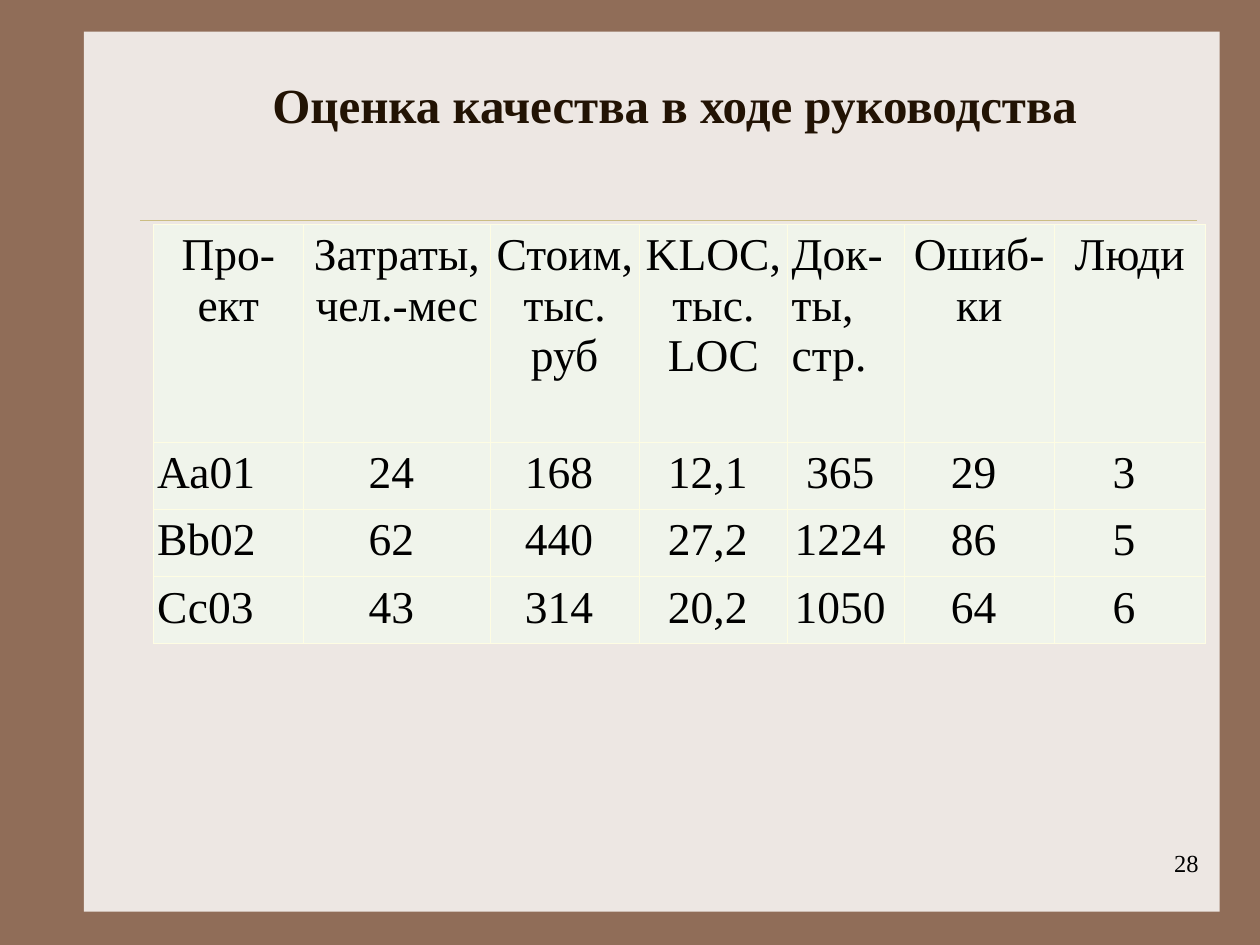
from lxml import etree
from pptx import Presentation
from pptx.dml.color import RGBColor
from pptx.enum import shapes, text
from pptx.oxml import ns
from pptx.util import Pt

FONT = "Times New Roman"
BLACK = "000000"
TITLE = "Оценка качества в ходе руководства"
PAGE_NUMBER = "28"
HEADERS = ["Про-ект", "Затраты, чел.-мес", "Стоим, тыс. руб", "KLOC, тыс. LOC",
           "Док- ты, стр.", "Ошиб-ки", "Люди"]
PROJECTS = [
    ["Аа01", "24 ", "168 ", "12,1 ", "365 ", "29 ", "3 "],
    ["Bb02 ", "62 ", "440 ", "27,2 ", "1224 ", "86 ", "5 "],
    ["Сс03", "43 ", "314 ", "20,2 ", "1050 ", "64 ", "6 "],
]
COLUMN_WIDTHS = [86, 106.75, 85, 85, 66.5, 86, 86]
HEADER_HEIGHT, ROW_HEIGHT = 124.5, 31
DOCUMENTS_COLUMN = 4
ALIGN = text.PP_ALIGN


def rgb(value):
    return RGBColor.from_string(value)


def set_text(frame, words, size, align, color=BLACK, bold=False):
    frame.word_wrap = True
    para = frame.paragraphs[0]
    para.text = words
    para.alignment = align
    para.font.name = FONT
    para.font.size = Pt(size)
    para.font.bold = bold
    para.font.color.rgb = rgb(color)


def add_label(page, area, words, size, align, anchor, **style):
    box = page.shapes.add_textbox(*map(Pt, area))
    box.text_frame.vertical_anchor = anchor
    set_text(box.text_frame, words, size, align, **style)


def set_borders(cell, color, width):
    properties = cell._tc.get_or_add_tcPr()
    for position, side in enumerate(("lnL", "lnR", "lnT", "lnB")):
        line = etree.Element(ns.qn(f"a:{side}"), w=str(Pt(width)))
        fill = etree.SubElement(line, ns.qn("a:solidFill"))
        etree.SubElement(fill, ns.qn("a:srgbClr"), val=color)
        properties.insert(position, line)


def cell_alignment(row, column):
    if row == 0:
        return ALIGN.LEFT if column == DOCUMENTS_COLUMN else ALIGN.CENTER
    return ALIGN.JUSTIFY if column == 0 else ALIGN.CENTER


def add_backdrop(page):
    page.background.fill.solid()
    page.background.fill.fore_color.rgb = rgb("906D58")
    panel = page.shapes.add_shape(shapes.MSO_SHAPE.RECTANGLE, Pt(48), Pt(18), Pt(649), Pt(503))
    panel.shadow.inherit = False
    panel.fill.solid()
    panel.fill.fore_color.rgb = rgb("EDE7E3")
    panel.line.fill.background()
    rule = page.shapes.add_connector(shapes.MSO_CONNECTOR.STRAIGHT, Pt(80), Pt(126), Pt(684), Pt(126))
    rule.line.color.rgb = rgb("CBBD83")
    rule.line.width = Pt(0.25)
    etree.SubElement(rule._element.spPr, ns.qn("a:effectLst"))


def add_project_table(page):
    rows = [HEADERS] + PROJECTS
    heights = [HEADER_HEIGHT] + [ROW_HEIGHT] * len(PROJECTS)
    table = page.shapes.add_table(len(rows), len(HEADERS), Pt(87.5), Pt(128),
                                  Pt(sum(COLUMN_WIDTHS)), Pt(sum(heights))).table
    for column, width in zip(table.columns, COLUMN_WIDTHS):
        column.width = Pt(width)
    for r, (values, height) in enumerate(zip(rows, heights)):
        table.rows[r].height = Pt(height)
        for c, value in enumerate(values):
            cell = table.cell(r, c)
            cell.margin_left = cell.margin_right = Pt(2.25)
            cell.margin_top = cell.margin_bottom = Pt(3.6)
            cell.fill.solid()
            cell.fill.fore_color.rgb = rgb("F0F4EB")
            set_borders(cell, "FEFDE3", 0.45)
            set_text(cell.text_frame, value, 26, cell_alignment(r, c))


def main():
    deck = Presentation()
    deck.slide_width, deck.slide_height = Pt(720), Pt(540)
    page = deck.slides.add_slide(deck.slide_layouts[6])
    add_backdrop(page)
    add_label(page, (542, 481, 150, 36), PAGE_NUMBER, 14, ALIGN.RIGHT, text.MSO_ANCHOR.TOP)
    add_label(page, (76.5, 30.5, 618, 58), TITLE, 28, ALIGN.CENTER, text.MSO_ANCHOR.MIDDLE,
              color="221304", bold=True)
    add_project_table(page)
    deck.save("out.pptx")


if __name__ == "__main__":
    main()
